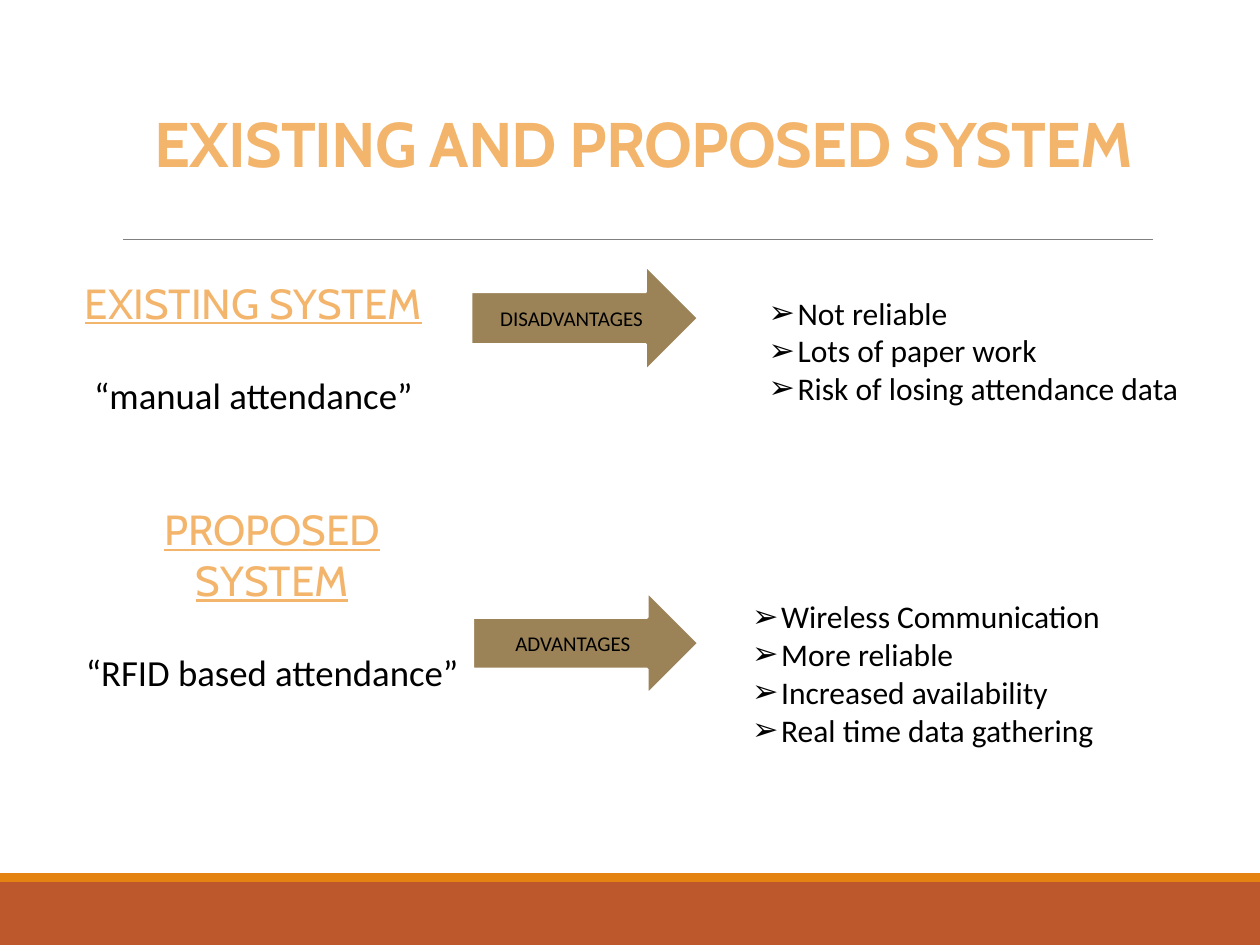
from lxml.etree import SubElement
from pptx import Presentation
from pptx.dml.color import RGBColor
from pptx.enum.shapes import MSO_CONNECTOR, MSO_SHAPE
from pptx.enum.text import MSO_ANCHOR, MSO_AUTO_SIZE, PP_ALIGN
from pptx.oxml.ns import qn
from pptx.util import Inches, Pt

COLORS = {"rust": "BD582C", "orange": "E48312", "rule": "808080",
          "heading": "F3B56C", "arrow": "9B8357", "text": "000000",
          "white": "FFFFFF"}
COLS, ROWS = 100, 75
FORMATS = {
    "title": {"name": "Cabin", "size": Pt(36), "bold": True},
    "heading": {"name": "Cabin", "size": Pt(24), "underline": True},
    "caption": {"name": "Calibri", "size": Pt(21)},
    "list": {"name": "Calibri", "size": Pt(18)},
    "label": {"name": "Calibri", "size": Pt(12)},
}


class SlideBuilder:
    """Holds the slide and its style; lengths are grid columns and rows."""

    def __init__(self, prs):
        self.s = prs.slides.add_slide(prs.slide_layouts[3])
        self.col = prs.slide_width / COLS
        self.row = prs.slide_height / ROWS

    def grid(self, x, y, w, h):
        return (round(x * self.col), round(y * self.row),
                round(w * self.col), round(h * self.row))

    def place(self, sp, *box):
        sp.left, sp.top, sp.width, sp.height = self.grid(*box)

    def add_text(self, p, text, style, color="text", align=PP_ALIGN.CENTER):
        p.alignment = align
        r = p.add_run()
        r.text = text
        for key, value in FORMATS[style].items():
            setattr(r.font, key, value)
        r.font.color.rgb = RGBColor.from_string(COLORS[color])
        return r

    def shape(self, kind, box, fill, line_width=0):
        sp = self.s.shapes.add_shape(kind, *self.grid(*box))
        sp.shadow.inherit = False
        sp.fill.solid()
        sp.fill.fore_color.rgb = RGBColor.from_string(COLORS[fill])
        if line_width:
            sp.line.color.rgb = RGBColor.from_string(COLORS["white"])
            sp.line.width = Pt(line_width)
        else:
            sp.line.fill.background()
        return sp

    def rule(self, x1, x2, y):
        left, top, width, _ = self.grid(x1, y, x2 - x1, 0)
        line = self.s.shapes.add_connector(
            MSO_CONNECTOR.STRAIGHT, left, top, left + width, top)
        line.line.color.rgb = RGBColor.from_string(COLORS["rule"])
        line.line.width = Pt(0.5)
        SubElement(line._element.spPr, qn("a:effectLst"))

    def title(self, text, *box):
        sp = self.s.shapes.title
        self.place(sp, *box)
        tf = sp.text_frame
        tf.vertical_anchor = MSO_ANCHOR.BOTTOM
        tf.auto_size = MSO_AUTO_SIZE.NONE
        p = tf.paragraphs[0]
        p.line_spacing = 0.85
        r = self.add_text(p, text, "title", "heading", PP_ALIGN.LEFT)
        r.font._element.set("spc", "-50")

    def system(self, heading, caption, *box):
        tf = self.s.shapes.add_textbox(*self.grid(*box)).text_frame
        tf.word_wrap = True
        self.add_text(tf.paragraphs[0], heading, "heading", "heading")
        p = tf.add_paragraph()
        p.space_before = Pt(25.6)
        self.add_text(p, caption, "caption")

    def arrow(self, text, line_width, *box):
        sp = self.shape(MSO_SHAPE.RIGHT_ARROW, box, "arrow", line_width)
        tf = sp.text_frame
        tf.vertical_anchor = MSO_ANCHOR.MIDDLE
        self.add_text(tf.paragraphs[0], text, "label")

    def bullets(self, idx, items, *box):
        sp = self.s.placeholders[idx]
        self.place(sp, *box)
        tf = sp.text_frame
        tf.auto_size = MSO_AUTO_SIZE.NONE
        tf.vertical_anchor = MSO_ANCHOR.TOP
        indent = Inches(0.23)
        for i, item in enumerate(items):
            p = tf.add_paragraph() if i else tf.paragraphs[0]
            p.space_before = Pt(0)
            self.add_text(p, item, "list", align=PP_ALIGN.LEFT)
            pPr = p._p.get_or_add_pPr()
            pPr.set("marL", str(indent))
            pPr.set("indent", str(-indent))
            SubElement(pPr, qn("a:buChar")).set("char", "➢")


def main():
    prs = Presentation()
    prs.slide_width, prs.slide_height = Inches(10), Inches(7.5)
    b = SlideBuilder(prs)

    # Footer bands and title
    b.shape(MSO_SHAPE.RECTANGLE, (0, 70, COLS, 5), "rust")
    b.shape(MSO_SHAPE.RECTANGLE, (0, 69.3, COLS, 0.7), "orange")
    b.rule(9.8, 91.5, 19)
    b.title("EXISTING AND PROPOSED SYSTEM", 11.3, 5.5, 81.8, 9.3)

    # Existing system
    b.system("EXISTING SYSTEM", "“manual attendance”", 4.2, 21.5, 31.8, 15.7)
    b.arrow("DISADVANTAGES", 1.25, 37.4, 21.1, 18, 8.3)
    b.bullets(1, ["Not reliable", "Lots of paper work",
                  "Risk of losing attendance data"], 60, 22.8, 38.2, 10)

    # Proposed system
    b.system("PROPOSED SYSTEM", "“RFID based attendance”",
             5.7, 39.5, 31.8, 15.7)
    b.arrow("ADVANTAGES", 2, 37.5, 46.9, 18, 8.3)
    b.bullets(2, ["Wireless Communication", "More reliable",
                  "Increased availability", "Real time data gathering"],
              58.7, 46.9, 34.9, 13.1)

    prs.save("out.pptx")


if __name__ == "__main__":
    main()
